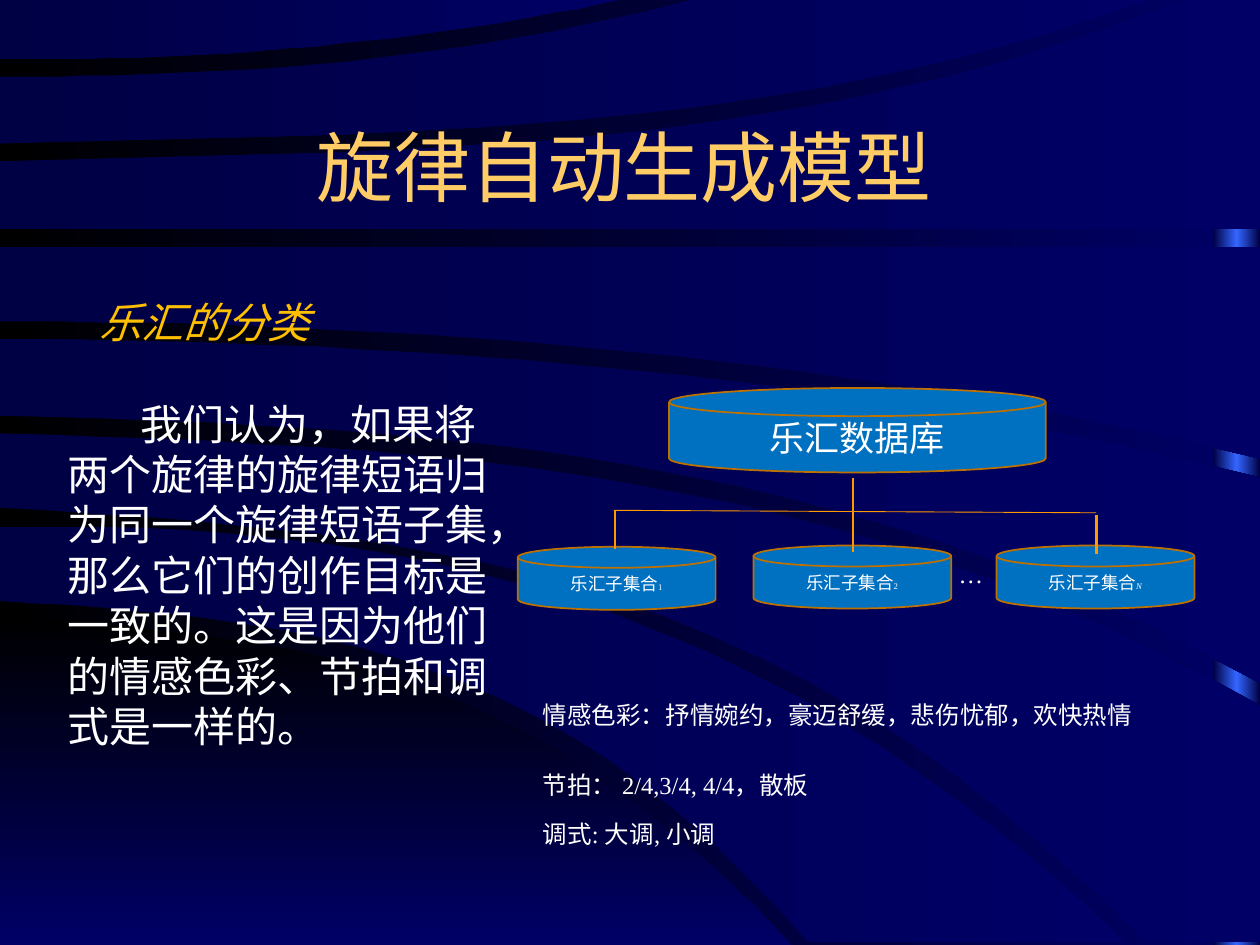
from copy import deepcopy
from lxml import etree
from pptx import Presentation
from pptx.dml.color import RGBColor
from pptx.enum.shapes import MSO_CONNECTOR as LINE, MSO_SHAPE as SHAPE
from pptx.enum.text import MSO_ANCHOR as ANCHOR, MSO_AUTO_SIZE as FIT, PP_ALIGN as ALIGN
from pptx.oxml.ns import qn
from pptx.util import Pt

PX = 9144  # EMU per px, 100 px to the inch
FONT = "Times New Roman"
STEPS = 24  # straight pieces in a curved edge

BLACK = RGBColor(0x00, 0x00, 0x00)
NAVY = RGBColor(0x00, 0x00, 0x44)
DEEP = RGBColor(0x00, 0x00, 0x66)
GLOW = RGBColor(0x33, 0x66, 0xFF)
BLUE = RGBColor(0x00, 0x70, 0xC0)
RUST = RGBColor(0xBD, 0x71, 0x00)
ORANGE = RGBColor(0xFF, 0x99, 0x00)
AMBER = RGBColor(0xFF, 0xC0, 0x00)
GOLD = RGBColor(0xFF, 0xCC, 0x66)
WHITE = RGBColor(0xFF, 0xFF, 0xFF)

# An edge is its right end and its heights at 0, 1/3, 2/3 and 1 of the way
CORNER = (628, 491, 512, 583, 750), (628, 750, 750, 750, 750)

# Bands from the bottom up: upper edge, lower edge, outer corner points
BANDS = [
    ((893, 418, 438, 534, 748), (642, 477, 498, 570, 748), []),
    ((1000, 344, 362, 421, 560), (909, 403, 431, 523, 748), [(1000, 748)]),
    ((1000, 269, 280, 314, 379), (1000, 330, 347, 406, 542), []),
    ((1000, 196, 196, 196, 196), (1000, 255, 265, 299, 364), []),
    ((943, 128, 119, 87, -2), (1000, 182, 182, 182, 182), [(1000, -2)]),
    ((556, 61, 56, 37, -2), (917, 114, 105, 76, -2), []),
    ((501, -2, -2, -2, -2), (501, 47, 43, 27, -2), []),
]

DISKS = [(411, 434, "1"), (598, 433, "2"), (791, 433, "N")]
STEMS = [(488, 405), (870, 409), (677, 407), (677, 379)]
NOTES = [
    (606, 283, "节拍： 2/4,3/4, 4/4，散板"),
    (645, 283, "调式: 大调, 小调"),
    (551, 544, "情感色彩：抒情婉约，豪迈舒缓，悲伤忧郁，欢快热情"),
]


def px(*nums):
    return [n * PX for n in nums]


def blend(fill, colors, angle=0):
    """Even gradient; the angle runs counter-clockwise."""
    fill.gradient()
    fill.gradient_angle = angle
    stops = fill.gradient_stops
    if len(colors) > len(stops):
        last = fill._fill._gradFill.gsLst[-1]
        last.addprevious(deepcopy(last))
        stops = fill.gradient_stops
    for i, (stop, color) in enumerate(zip(stops, colors)):
        stop.color.rgb = color
        stop.position = i / (len(colors) - 1)


def plain(shape):
    shape.shadow.inherit = False
    shape.line.fill.background()


def curve(end, *heights):
    """Points on the cubic that runs through evenly spaced heights."""
    points = []
    for step in range(STEPS + 1):
        t = 3 * step / STEPS
        y = 0
        for i, height in enumerate(heights):
            part = height
            for j in range(4):
                if j != i:
                    part *= (t - j) / (i - j)
            y += part
        points.append((round(end * step / STEPS), round(y)))
    return points


def band(shapes, upper, lower, outer, colors, angle=0):
    points = curve(*upper) + outer + curve(*lower)[::-1]
    pen = shapes.build_freeform(*points[0], scale=PX)
    pen.add_line_segments(points[1:], close=True)
    shape = pen.convert_to_shape()
    plain(shape)
    blend(shape.fill, colors, angle)


def style(run, size, color=WHITE, italic=None):
    font = run.font
    font.name, font.size, font.italic = FONT, Pt(size), italic
    font.color.rgb = color


def label(shapes, box, text, size, color=WHITE, italic=None):
    shape = shapes.add_textbox(*px(*box))
    frame = shape.text_frame
    frame.word_wrap = True
    frame.text = text
    style(frame.paragraphs[0].runs[0], size, color, italic)
    return frame


def disk(shapes, box, text, size, index=""):
    shape = shapes.add_shape(SHAPE.FLOWCHART_MAGNETIC_DISK, *px(*box))
    shape.shadow.inherit = False
    shape.fill.solid()
    shape.fill.fore_color.rgb = BLUE
    shape.line.color.rgb = RUST
    shape.line.width = Pt(1)
    frame = shape.text_frame
    frame.vertical_anchor = ANCHOR.MIDDLE
    frame.text = text
    para = frame.paragraphs[0]
    para.alignment = ALIGN.CENTER
    style(para.runs[0], size)
    if index:
        run = para.add_run()
        run.text = index
        style(run, 5, italic=index.isalpha() or None)


def rule(shapes, ends, width):
    line = shapes.add_connector(LINE.STRAIGHT, *px(*ends))
    line.line.color.rgb = ORANGE
    line.line.width = Pt(width)
    etree.SubElement(line._element.spPr, qn("a:effectLst"))


def main():
    deck = Presentation()
    deck.slide_width, deck.slide_height = px(1000, 750)
    slide = deck.slides.add_slide(deck.slide_layouts[6])
    shapes = slide.shapes

    # Backdrop
    blend(slide.background.fill, [BLACK, DEEP])
    strip = shapes.add_shape(SHAPE.RECTANGLE, *px(963, 0, 37, 750))
    plain(strip)
    blend(strip.fill, [NAVY, GLOW, NAVY])
    band(shapes, *CORNER, [], [BLACK, DEEP], 270)
    for upper, lower, outer in BANDS:
        band(shapes, upper, lower, outer, [NAVY, DEEP])

    # Database tree
    disk(shapes, (531, 308, 299, 67), "乐汇数据库", 20)
    for x, y, index in DISKS:
        disk(shapes, (x, y, 157, 50), "乐汇子集合", 10, index)
    rule(shapes, (487, 405, 870, 407), 0.5)
    for x, y in STEMS:
        rule(shapes, (x, y, x, y + 31), 1.5)
    label(shapes, (751, 439, 39, 34), "…", 14)

    # Title and heading
    title = label(shapes, (19, 69, 953, 125), "旋律自动生成模型", 44, GOLD)
    title.vertical_anchor = ANCHOR.MIDDLE
    title.paragraphs[0].alignment = ALIGN.CENTER
    label(shapes, (69, 230, 486, 58), "乐汇的分类", 24, AMBER, True)

    # Body text with a first-line indent
    body = label(
        shapes, (44, 311, 369, 293),
        "我们认为，如果将两个旋律的旋律短语归为同一个旋律短语子集，"
        "那么它们的创作目标是一致的。这是因为他们的情感色彩、节拍和调式是一样的。", 24)
    body.auto_size = FIT.SHAPE_TO_FIT_TEXT
    body.paragraphs[0]._p.get_or_add_pPr().set("indent", str(58 * PX))

    # Notes under the tree
    for y, width, text in NOTES:
        note = label(shapes, (421, y, width, 34), text, 14)
        note.auto_size = FIT.SHAPE_TO_FIT_TEXT

    deck.save("out.pptx")


if __name__ == "__main__":
    main()
